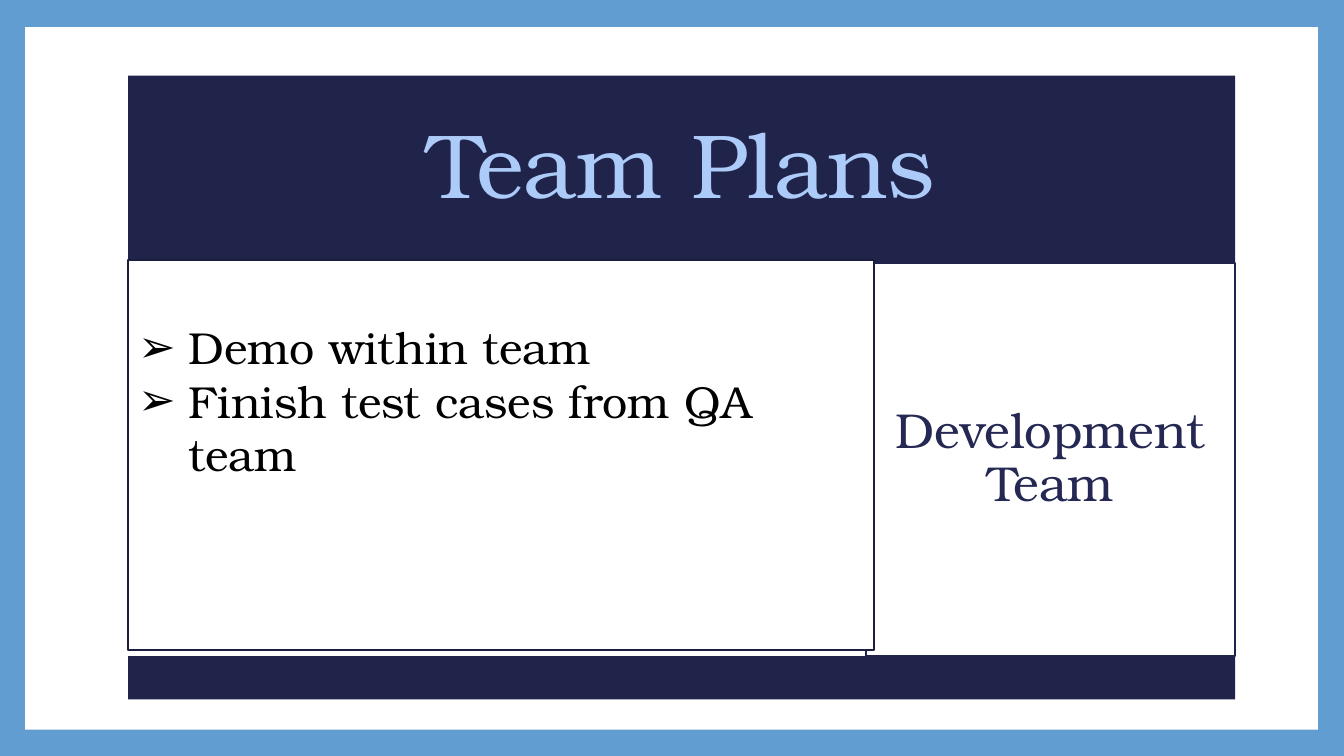
"""Build the Team Plans slide with its team label and list of plans."""
import lxml.etree
import pptx
import pptx.dml.color
import pptx.enum.shapes
import pptx.enum.text
import pptx.oxml.ns
import pptx.util

Inches = pptx.util.Inches
Pt = pptx.util.Pt
ALIGN = pptx.enum.text.PP_ALIGN
ANCHOR = pptx.enum.text.MSO_ANCHOR
NAVY = "21244A"
WHITE = "FFFFFF"


def color(value):
    return pptx.dml.color.RGBColor.from_string(value)


def format_box(shape, box, fill, line=None):
    shape.left, shape.top, shape.width, shape.height = map(Inches, box)
    shape.fill.solid()
    shape.fill.fore_color.rgb = color(fill)
    if line:
        shape.line.color.rgb = color(line)
        shape.line.width = Pt(1.5)
    else:
        shape.line.fill.background()


presentation = pptx.Presentation()
presentation.slide_width = Inches(13.33)
presentation.slide_height = Inches(7.5)
slide = presentation.slides.add_slide(presentation.slide_layouts[1])
slide.background.fill.solid()
slide.background.fill.fore_color.rgb = color("629DD1")

title = slide.shapes.title
plans = slide.placeholders[1]
panel, team, footer = [
    slide.shapes.add_shape(pptx.enum.shapes.MSO_SHAPE.RECTANGLE, 0, 0, 0, 0)
    for _ in range(3)
]
for shape in (panel, team, footer):
    shape.shadow.inherit = False

format_box(panel, (0.25, 0.27, 12.82, 6.97), WHITE)
format_box(title, (1.27, 0.75, 10.98, 1.86), NAVY)
format_box(team, (8.59, 2.61, 3.66, 3.9), WHITE, NAVY)
format_box(footer, (1.27, 6.51, 10.98, 0.43), NAVY)
format_box(plans, (1.27, 2.58, 7.4, 3.87), WHITE, "1B1E3E")
for shape in (panel, title, team, footer, plans):
    slide.shapes._spTree.append(shape._element)

texts = [
    (title, ["Team Plans"], 65, "ACCBF9", ALIGN.CENTER, ANCHOR.MIDDLE, 0.9, 0.27, 0.27),
    (team, ["Development Team"], 35, "242852", ALIGN.CENTER, ANCHOR.MIDDLE, 0.9, 0.17, 0.17),
    (plans, ["Demo within team", "Finish test cases from QA team"],
     32, "000000", ALIGN.LEFT, ANCHOR.TOP, 1.0, 0.1, 0.59),
]
for shape, lines, size, font_color, align, anchor, spacing, side, top in texts:
    frame = shape.text_frame
    frame.text = "\n".join(lines)
    frame.word_wrap = True
    frame.auto_size = pptx.enum.text.MSO_AUTO_SIZE.NONE
    frame.vertical_anchor = anchor
    frame.margin_left = frame.margin_right = Inches(side)
    frame.margin_top = Inches(top)
    frame.margin_bottom = Inches(min(side, top))
    for paragraph in frame.paragraphs:
        paragraph.alignment = align
        paragraph.line_spacing = spacing
        paragraph.space_before = Pt(0)
        if shape is plans:
            properties = paragraph._p.get_or_add_pPr()
            properties.set("marL", str(Inches(0.5)))
            properties.set("indent", str(Inches(-0.5)))
            bullet = lxml.etree.SubElement(properties, pptx.oxml.ns.qn("a:buChar"))
            bullet.set("char", "➢")
        paragraph.font.name = "TeX Gyre Bonum"
        paragraph.font.size = Pt(size)
        paragraph.font.color.rgb = color(font_color)

presentation.save("out.pptx")
